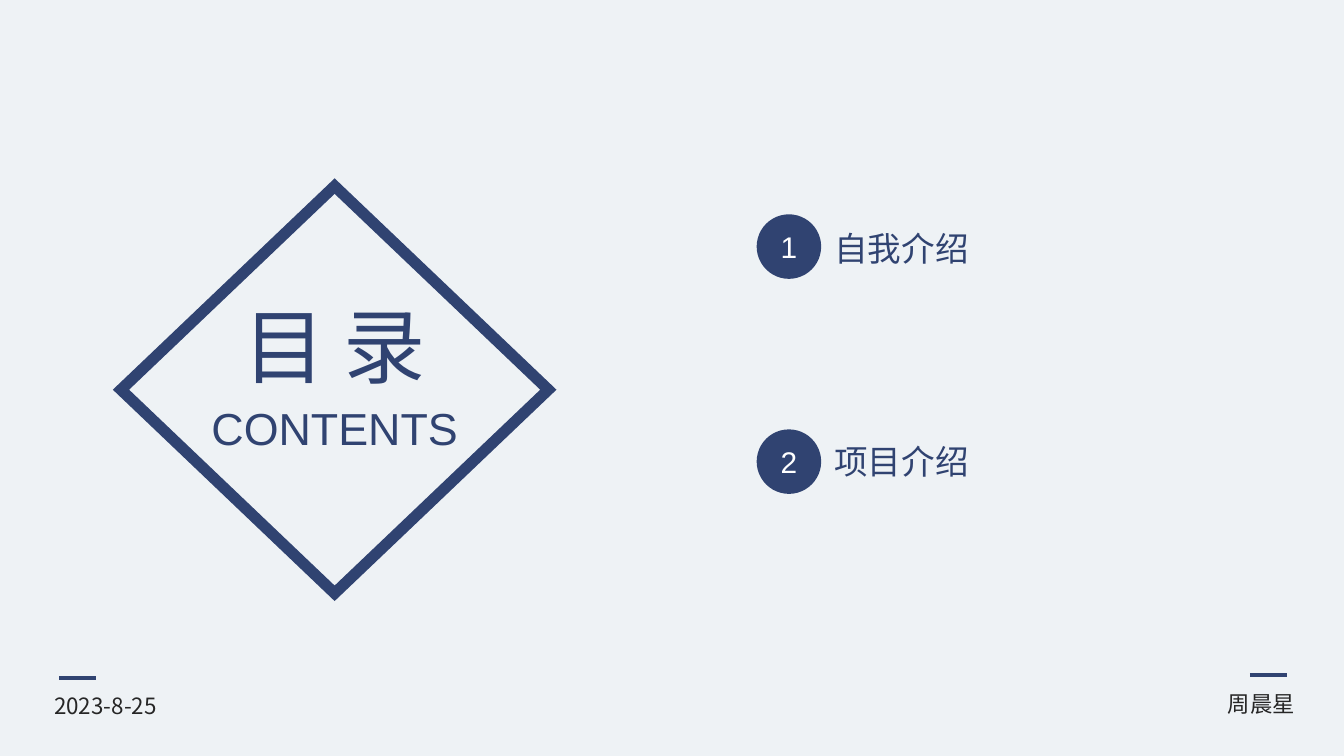
from dataclasses import dataclass

from lxml import etree
from pptx import Presentation
from pptx.dml.color import RGBColor
from pptx.enum.shapes import MSO_CONNECTOR, MSO_SHAPE
from pptx.enum.text import MSO_ANCHOR, MSO_AUTO_SIZE, PP_ALIGN
from pptx.oxml.ns import qn
from pptx.slide import Slide
from pptx.text.text import TextFrame
from pptx.util import Emu, Pt

PX = 4572  # 200 px to the inch
NAVY, INK, WHITE, PAPER = "304371", "262626", "FFFFFF", "EEF2F5"
CJK, LATIN = "Noto Sans CJK SC", "Arial"


@dataclass(frozen=True)
class Box:
    left: int
    top: int
    width: int
    height: int

    def emu(self) -> tuple[Emu, Emu, Emu, Emu]:
        return px(self.left), px(self.top), px(self.width), px(self.height)


@dataclass(frozen=True)
class Style:
    size: int
    font: str
    color: str
    align: PP_ALIGN = PP_ALIGN.LEFT


@dataclass(frozen=True)
class Label:
    text: str
    box: Box
    style: Style


@dataclass(frozen=True)
class Chapter:
    number: int
    name: str
    badge_top: int
    name_top: int


@dataclass(frozen=True)
class Dash:
    left: int
    top: int


CHAPTERS = [Chapter(1, "自我介绍", 319, 330), Chapter(2, "项目介绍", 639, 646)]
BADGE_LEFT, BADGE_SIZE = 1126, 96
NAME_STYLE = Style(18, CJK, NAVY)
BADGE_STYLE = Style(16, LATIN, WHITE, PP_ALIGN.CENTER)

HEADING = Label("目 录", Box(336, 430, 324, 168), Style(44, CJK, NAVY, PP_ALIGN.CENTER))
LABELS = [
    Label("CONTENTS", Box(293, 586, 410, 100), Style(24, LATIN, NAVY, PP_ALIGN.CENTER)),
    Label("2023-8-25", Box(61, 1020, 208, 60), Style(12, CJK, INK)),
    Label("周晨星", Box(1806, 1017, 141, 60), Style(12, CJK, INK, PP_ALIGN.RIGHT)),
]
DASHES = [Dash(88, 1009), Dash(1860, 1004)]
DASH_WIDTH = 55
DIAMOND = Box(180, 277, 636, 606)


def px(length: int) -> Emu:
    return Emu(length * PX)


def rgb(color: str) -> RGBColor:
    return RGBColor.from_string(color)


def write(frame: TextFrame, text: str, style: Style) -> None:
    paragraph = frame.paragraphs[0]
    paragraph.alignment = style.align
    run = paragraph.add_run()
    run.text = text
    run.font.size = Pt(style.size)
    run.font.color.rgb = rgb(style.color)
    run.font.name = style.font
    east_asian = etree.SubElement(run.font._element, qn("a:ea"))
    east_asian.set("typeface", style.font)


def fill_label(frame: TextFrame, label: Label) -> None:
    frame.word_wrap = False
    frame.auto_size = MSO_AUTO_SIZE.SHAPE_TO_FIT_TEXT
    frame.vertical_anchor = MSO_ANCHOR.TOP
    write(frame, label.text, label.style)


def add_label(slide: Slide, label: Label) -> None:
    fill_label(slide.shapes.add_textbox(*label.box.emu()).text_frame, label)


def set_heading(slide: Slide, label: Label) -> None:
    title = slide.shapes.title
    title.left, title.top, title.width, title.height = label.box.emu()
    fill_label(title.text_frame, label)


def add_chapter(slide: Slide, chapter: Chapter) -> None:
    name_box = Box(BADGE_LEFT + BADGE_SIZE, chapter.name_top, 242, 80)
    add_label(slide, Label(chapter.name, name_box, NAME_STYLE))
    badge_box = Box(BADGE_LEFT, chapter.badge_top, BADGE_SIZE, BADGE_SIZE)
    badge = slide.shapes.add_shape(MSO_SHAPE.OVAL, *badge_box.emu())
    badge.shadow.inherit = False
    badge.fill.solid()
    badge.fill.fore_color.rgb = rgb(NAVY)
    badge.line.fill.background()
    badge.text_frame.vertical_anchor = MSO_ANCHOR.MIDDLE
    write(badge.text_frame, str(chapter.number), BADGE_STYLE)


def add_diamond(slide: Slide, box: Box) -> None:
    diamond = slide.shapes.add_shape(MSO_SHAPE.DIAMOND, *box.emu())
    diamond.shadow.inherit = False
    diamond.fill.background()
    diamond.line.color.rgb = rgb(NAVY)
    diamond.line.width = Pt(6)
    corner = etree.SubElement(diamond.line._get_or_add_ln(), qn("a:miter"))
    corner.set("lim", "800000")


def add_dash(slide: Slide, dash: Dash) -> None:
    line = slide.shapes.add_connector(
        MSO_CONNECTOR.STRAIGHT,
        px(dash.left), px(dash.top), px(dash.left + DASH_WIDTH), px(dash.top),
    )
    line.line.color.rgb = rgb(NAVY)
    line.line.width = Pt(2.25)
    etree.SubElement(line._element.spPr, qn("a:effectLst"))


def main() -> None:
    deck = Presentation()
    deck.slide_width, deck.slide_height = px(2000), px(1125)
    slide = deck.slides.add_slide(deck.slide_layouts[5])
    slide.background.fill.solid()
    slide.background.fill.fore_color.rgb = rgb(PAPER)

    set_heading(slide, HEADING)
    for dash in DASHES:
        add_dash(slide, dash)
    for chapter in CHAPTERS:
        add_chapter(slide, chapter)
    add_diamond(slide, DIAMOND)
    for label in LABELS:
        add_label(slide, label)
    deck.save("out.pptx")


if __name__ == "__main__":
    main()
